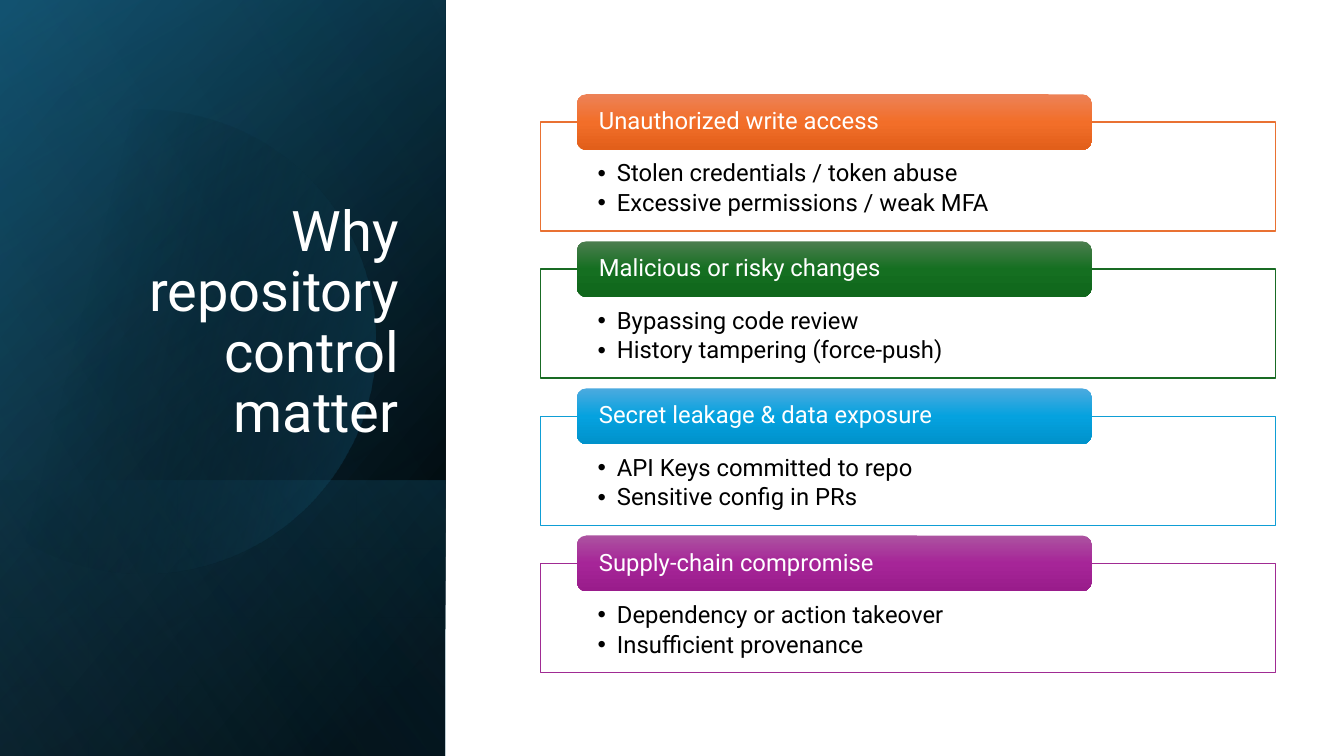
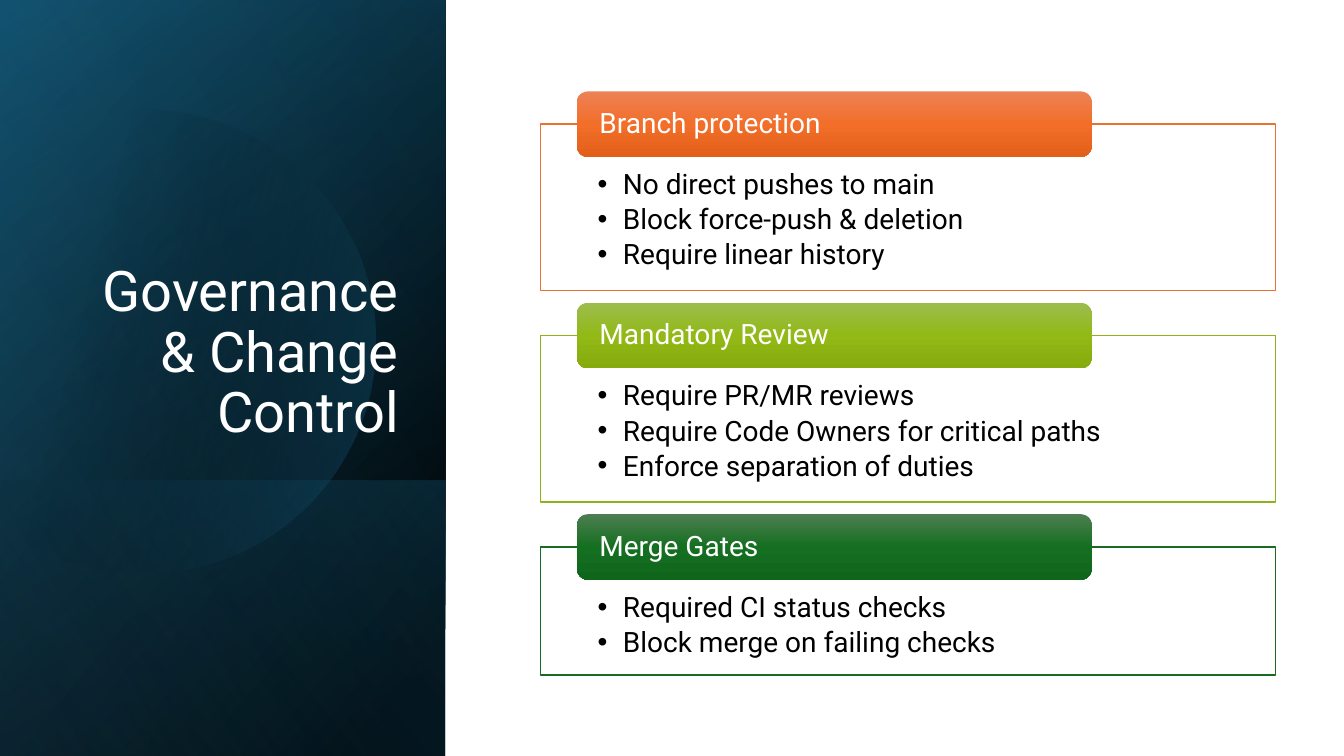
import math

from lxml import etree
from pptx import Presentation
from pptx.dml.color import RGBColor
from pptx.enum import shapes, text
from pptx.oxml.ns import qn
from pptx.util import Inches, Pt

WIDTH, HEIGHT = Inches(13.33), Inches(7.5)
FONT = "Roboto"
WHITE, BLACK = "FFFFFF", "000000"
TEAL, NAVY, SKY = "156082", "104862", "46B1E1"
# Outline colour, then the tab's gradient from top to bottom
ORANGE = ("E97132", "ED8257", "F26E29", "E25F1A")
GREEN = ("196B24", "4D7E50", "156F21", "0F661B")
BLUE = ("0F9ED5", "4CAADF", "05A2DF", "0092CB")
PURPLE = ("A02B93", "AC53A0", "A62598", "991C8B")
LIME = ("8EB21E", "9CBD4E", "92B916", "85AB0D")


def across(percent):
    return round(WIDTH * percent / 100)


def down(percent):
    return round(HEIGHT * percent / 100)


PANEL_WIDTH = across(33.15)
CARD_LEFT, CARD_WIDTH = across(40.2), across(54.7)
STACK_MIDDLE = down(50.7)


def color(hex_string):
    return RGBColor.from_string(hex_string)


def fill_gradient(shape, stops, angle):
    """Stops are (position, colour) or (position, colour, opacity), in percent."""
    shape.shadow.inherit = False
    shape.line.fill.background()
    shape.fill.gradient()
    gradient = shape.element.spPr.find(qn("a:gradFill"))
    stop_list = gradient.find(qn("a:gsLst"))
    for old_stop in list(stop_list):
        stop_list.remove(old_stop)
    for position, hex_string, *opacity in stops:
        stop = etree.SubElement(stop_list, qn("a:gs"), pos=str(position * 1000))
        shade = etree.SubElement(stop, qn("a:srgbClr"), val=hex_string)
        for percent in opacity:
            etree.SubElement(shade, qn("a:alpha"), val=str(percent * 1000))
    gradient.find(qn("a:lin")).set("ang", str(angle * 60000))


def add_layer(page, height, stops, angle):
    """Panel layer standing on the slide's bottom edge, turned and mirrored."""
    left = (PANEL_WIDTH - height) // 2
    top = HEIGHT - (height + PANEL_WIDTH) // 2
    layer = page.shapes.add_shape(
        shapes.MSO_SHAPE.RECTANGLE, left, top, height, PANEL_WIDTH)
    layer.rotation = 90
    layer.element.spPr.find(qn("a:xfrm")).set("flipH", "1")
    fill_gradient(layer, stops, angle)


def add_disc(page):
    """Circle cut off by a vertical edge just left of the slide."""
    center_x, center_y, radius = across(10.65), down(45.2), down(30.7)
    cut, steps = 133, 90
    angles = [math.radians(-cut + 2 * cut * step / steps) for step in range(steps + 1)]
    points = [(round(center_x + radius * math.cos(angle)),
               round(center_y + radius * math.sin(angle))) for angle in angles]
    builder = page.shapes.build_freeform(*points[0])
    builder.add_line_segments(points[1:], close=True)
    fill_gradient(builder.convert_to_shape(), [(29, BLACK, 0), (100, TEAL, 43)], 14)


def add_span(para, words, size, hex_string):
    para.line_spacing = 0.9
    span = para.add_run()
    span.text = words
    span.font.name = FONT
    span.font.size = Pt(size)
    span.font.color.rgb = color(hex_string)


def set_frame(frame, anchor, left, top, right, bottom):
    frame.word_wrap = True
    frame.vertical_anchor = anchor
    frame.margin_left, frame.margin_top = left, top
    frame.margin_right, frame.margin_bottom = right, bottom


def add_bullet(para, indent):
    properties = para._p.get_or_add_pPr()
    properties.set("marL", str(indent))
    properties.set("indent", str(-indent))
    etree.SubElement(properties, qn("a:buFont"), typeface="Arial")
    etree.SubElement(properties, qn("a:buChar"), char="•")


def add_title_panel(page, title):
    add_layer(page, HEIGHT, [(8, BLACK), (100, NAVY)], 50)
    add_layer(page, HEIGHT, [(0, BLACK, 0), (99, TEAL, 46)], 30)
    add_layer(page, down(36.5), [(2, TEAL, 29), (100, BLACK, 30)], 130)
    add_disc(page)
    add_layer(page, HEIGHT, [(0, BLACK, 0), (99, SKY, 11)], 120)
    box = page.shapes.add_textbox(across(4.8), down(24.5), across(25.6), down(35))
    frame = box.text_frame
    set_frame(frame, text.MSO_ANCHOR.BOTTOM,
              Inches(0.1), Inches(0.05), Inches(0.1), Inches(0.05))
    para = frame.paragraphs[0]
    para.alignment = text.PP_ALIGN.RIGHT
    add_span(para, title, 40, WHITE)


def add_card_body(page, top, height, bullets, size, indent, outline):
    body = page.shapes.add_shape(
        shapes.MSO_SHAPE.RECTANGLE, CARD_LEFT, top, CARD_WIDTH, height)
    body.shadow.inherit = False
    body.fill.solid()
    body.fill.fore_color.rgb = color(WHITE)
    body.line.color.rgb = color(outline)
    body.line.width = Pt(1)
    frame = body.text_frame
    side = Inches(0.57)
    set_frame(frame, text.MSO_ANCHOR.TOP, side, Pt(1.65 * size), side, Pt(0.57 * size))
    for index, words in enumerate(bullets):
        para = frame.add_paragraph() if index else frame.paragraphs[0]
        add_bullet(para, indent)
        para.alignment = text.PP_ALIGN.LEFT
        para.space_after = Pt(0.175 * size)
        add_span(para, words, size, BLACK)


def add_card_tab(page, top, height, heading, size, shades):
    tab = page.shapes.add_shape(
        shapes.MSO_SHAPE.ROUNDED_RECTANGLE, CARD_LEFT + round(CARD_WIDTH * 0.05), top,
        round(CARD_WIDTH * 0.7), height)
    fill_gradient(tab, list(zip((0, 50, 100), shades)), 90)
    side = Inches(0.19)
    set_frame(tab.text_frame, text.MSO_ANCHOR.MIDDLE, side, 0, side, 0)
    para = tab.text_frame.paragraphs[0]
    para.alignment = text.PP_ALIGN.LEFT
    add_span(para, heading, size, WHITE)


def add_card_stack(page, cards, size, indent):
    """Cards centred as one stack; their heights follow the type size."""
    tab_height, gap = Pt(2.34 * size), Pt(0.43 * size)
    body_heights = [Pt((1.84 + 1.37 * len(bullets)) * size) for _, bullets, _ in cards]
    total = sum(body_heights) + len(cards) * tab_height // 2 + (len(cards) - 1) * gap
    top = STACK_MIDDLE - total // 2
    for (heading, bullets, palette), body_height in zip(cards, body_heights):
        outline, *shades = palette
        body_top = top + tab_height // 2
        add_card_body(page, body_top, body_height, bullets, size, indent, outline)
        add_card_tab(page, top, tab_height, heading, size, shades)
        top = body_top + body_height + gap


def add_page(deck, title, cards, size, indent):
    page = deck.slides.add_slide(deck.slide_layouts[6])
    add_title_panel(page, title)
    add_card_stack(page, cards, size, indent)


def main():
    deck = Presentation()
    deck.slide_width, deck.slide_height = WIDTH, HEIGHT
    add_page(deck, "Why repository control matter", [
        ("Unauthorized write access",
         ["Stolen credentials / token abuse", "Excessive permissions / weak MFA"], ORANGE),
        ("Malicious or risky changes",
         ["Bypassing code review", "History tampering (force-push)"], GREEN),
        ("Secret leakage & data exposure",
         ["API Keys committed to repo", "Sensitive config in PRs"], BLUE),
        ("Supply-chain compromise",
         ["Dependency or action takeover", "Insufficient provenance"], PURPLE),
    ], size=17, indent=Inches(0.19))
    add_page(deck, "Governance & Change Control", [
        ("Branch protection",
         ["No direct pushes to main", "Block force-push & deletion",
          "Require linear history"], ORANGE),
        ("Mandatory Review",
         ["Require PR/MR reviews", "Require Code Owners for critical paths",
          "Enforce separation of duties"], LIME),
        ("Merge Gates",
         ["Required CI status checks", "Block merge on failing checks"], GREEN),
    ], size=20, indent=Inches(0.25))
    deck.save("out.pptx")


if __name__ == "__main__":
    main()
